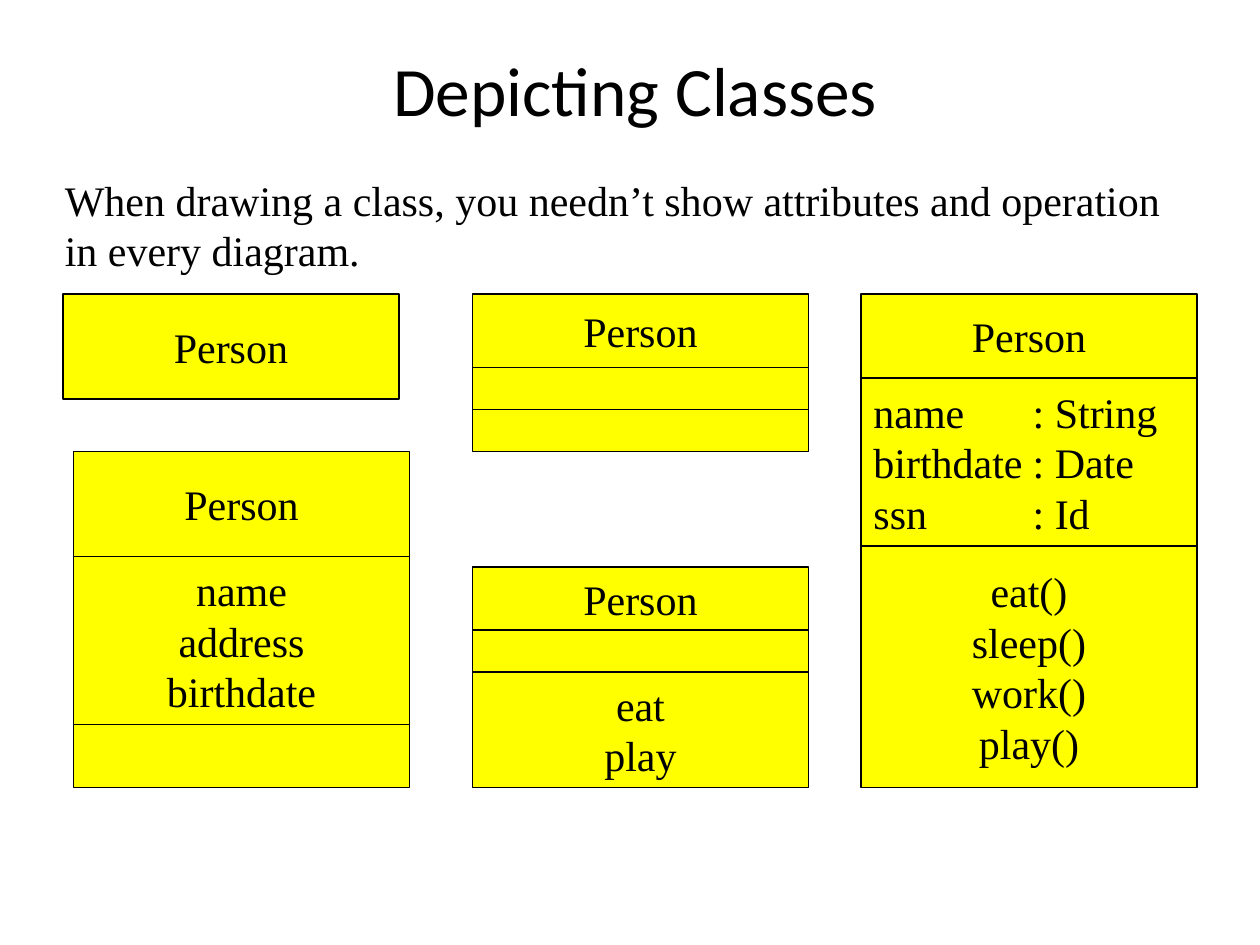
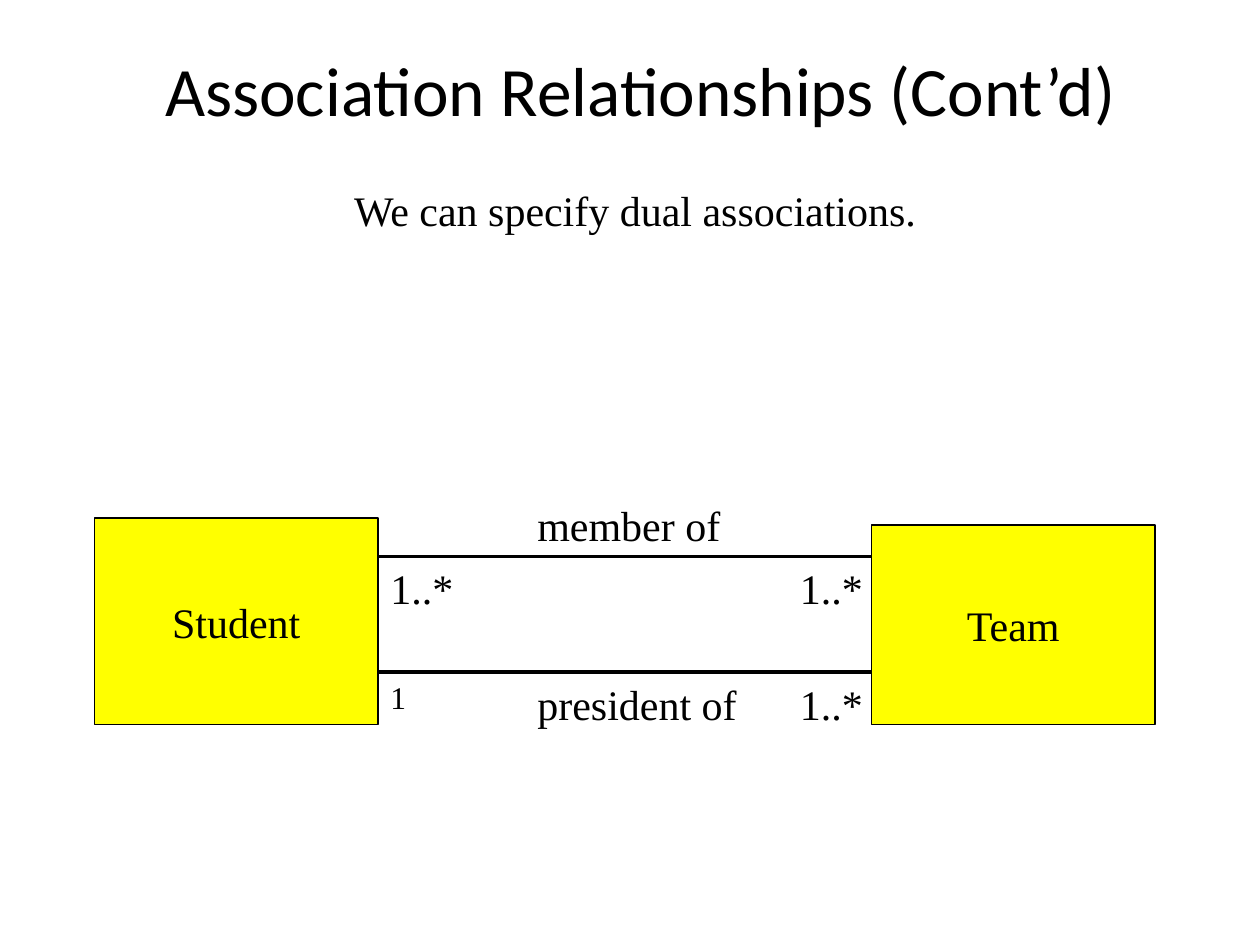
from pptx import Presentation
from pptx.dml.color import RGBColor
from pptx.enum.shapes import MSO_CONNECTOR, MSO_SHAPE
from pptx.enum.text import MSO_ANCHOR, MSO_AUTO_SIZE, PP_ALIGN
from pptx.util import Pt
from lxml.etree import SubElement
from pptx.oxml.ns import qn

BLACK = RGBColor(0, 0, 0)
YELLOW = RGBColor(255, 255, 0)
SERIF = "Times New Roman"
SANS = "Calibri"
LEFT, MID = PP_ALIGN.LEFT, PP_ALIGN.CENTER


def write(shape, lines, align=LEFT, size=24, font=SERIF, tab=None):
    """Fill a shape with one paragraph per line, with an optional tab stop."""
    frame = shape.text_frame
    frame.word_wrap = True
    frame.auto_size = MSO_AUTO_SIZE.NONE
    for i, line in enumerate(lines):
        para = frame.add_paragraph() if i else frame.paragraphs[0]
        para.alignment = align
        if tab:
            stops = SubElement(para._p.get_or_add_pPr(), qn("a:tabLst"))
            SubElement(stops, qn("a:tab"), pos=str(Pt(tab)), algn="l")
        run = para.add_run()
        run.text = line
        run.font.name = font
        run.font.size = Pt(size)
        run.font.color.rgb = BLACK


def add_box(shapes, x, y, w, h, lines, align=MID, tab=None):
    """Add a yellow class box with a thin black outline."""
    box = shapes.add_shape(MSO_SHAPE.RECTANGLE, Pt(x), Pt(y), Pt(w), Pt(h))
    box.shadow.inherit = False
    box.fill.solid()
    box.fill.fore_color.rgb = YELLOW
    box.line.color.rgb = BLACK
    box.line.width = Pt(0.75)
    box.text_frame.vertical_anchor = MSO_ANCHOR.MIDDLE
    write(box, lines, align, tab=tab)


deck = Presentation()
deck.slide_width, deck.slide_height = Pt(720), Pt(540)

# Titles and lead sentences: title, its left and width, then the sentence
pages = [
    ("Depicting Classes", 54, 618,
     "When drawing a class, you needn’t show attributes and operation in every diagram.",
     30, 96, 657, 65, LEFT),
    ("Association Relationships (Cont’d)", 48, 636,
     "We can specify dual associations.", 54, 102, 618, 36, MID),
]
slides = []
for name, left, width, lead, x, y, w, h, align in pages:
    slide = deck.slides.add_slide(deck.slide_layouts[5])
    title = slide.shapes.title
    title.left, title.top, title.width, title.height = Pt(left), Pt(30), Pt(width), Pt(42)
    title.text_frame.vertical_anchor = MSO_ANCHOR.MIDDLE
    write(title, [name], MID, 39.6, SANS)
    write(slide.shapes.add_textbox(Pt(x), Pt(y), Pt(w), Pt(h)), [lead], align)
    slides.append(slide)
classes, links = slides

# Class diagrams: left, top, then the height and lines of each compartment
person = ["Person"]
fields = ["name\t: String", "birthdate\t: Date", "ssn\t: Id"]
diagrams = [
    (36, 168, [(60, person)]),
    (42, 258, [(60, person), (96, ["name", "address", "birthdate"]), (36, [])]),
    (270, 168, [(42, person), (24, []), (24, [])]),
    (270, 324, [(36, person), (24, []), (66, ["eat", "play"])]),
    (492, 168, [(48, person), (96, fields),
                (138, ["eat()", "sleep()", "work()", "play()"])]),
]
for x, y, parts in diagrams:
    group = classes.shapes.add_group_shape()
    for h, lines in parts:
        typed = lines is fields
        add_box(group.shapes, x, y, 192, h, lines,
                LEFT if typed else MID, 91 if typed else None)
        y += h

# Two associations between Student and Team
for y in (318, 384):
    line = links.shapes.add_connector(MSO_CONNECTOR.STRAIGHT, Pt(216), Pt(y), Pt(498), Pt(y))
    line.line.color.rgb = BLACK
    line.line.width = Pt(2.25)
    SubElement(line._element.spPr, qn("a:effectLst"))
add_box(links.shapes, 498, 300, 162, 114, ["Team"])
add_box(links.shapes, 54, 296, 162, 118, ["Student"])

labels = [
    ("member of", 300, 282, 138, 24),
    ("1..*", 216, 318, 54, 24),
    ("1..*", 450, 318, 54, 24),
    ("president of", 300, 384, 138, 24),
    ("1", 216, 384, 30, 18),
    ("1..*", 450, 384, 54, 24),
]
for text, x, y, w, size in labels:
    label = links.shapes.add_textbox(Pt(x), Pt(y), Pt(w), Pt(size * 1.5))
    write(label, [text], size=size)

deck.save("out.pptx")
